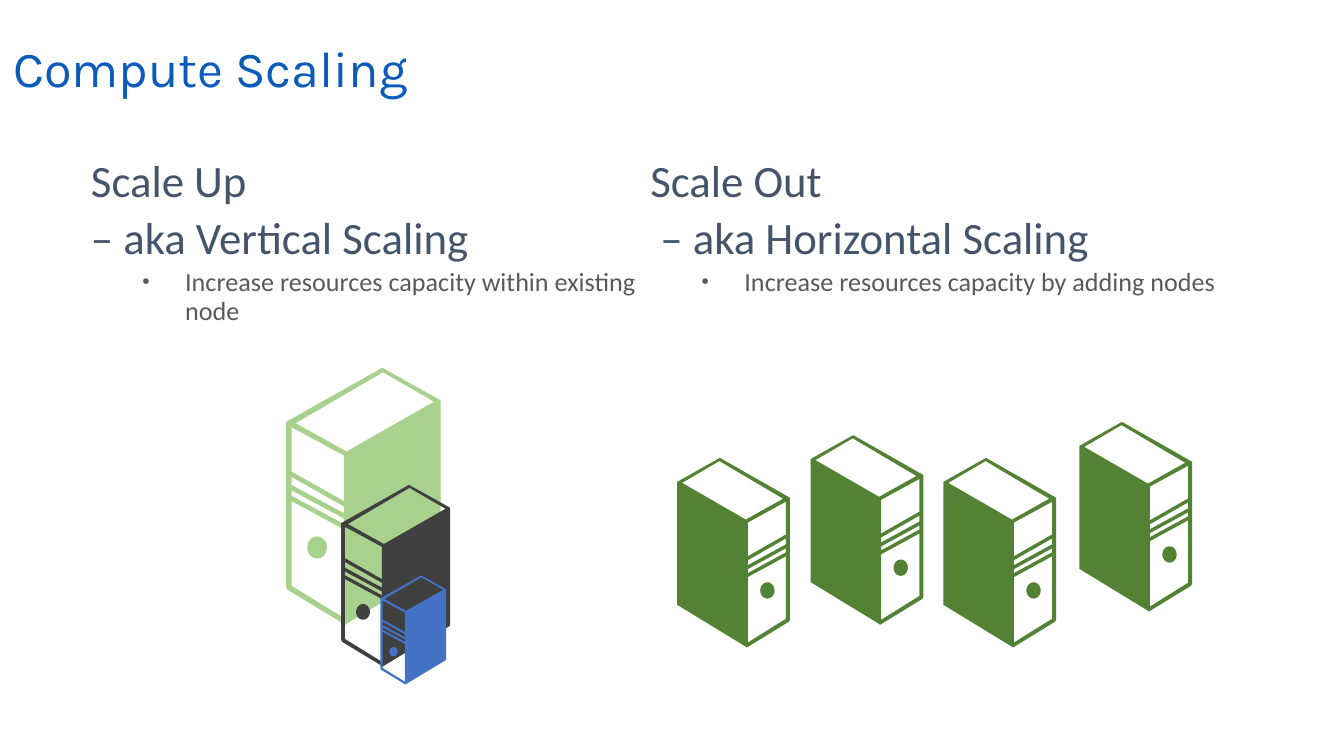
from math import cos, pi, sin

from lxml.etree import SubElement
from pptx import Presentation
from pptx.dml.color import RGBColor
from pptx.enum.text import MSO_ANCHOR
from pptx.oxml.ns import qn
from pptx.util import Cm, Pt

BLUE_TITLE = RGBColor(0x0A, 0x5B, 0xBA)
SLATE = RGBColor(0x44, 0x54, 0x6A)
GREY = RGBColor(0x59, 0x59, 0x59)
LIGHT_GREEN = RGBColor(0xA9, 0xD1, 0x8E)
CHARCOAL = RGBColor(0x40, 0x40, 0x40)
BLUE = RGBColor(0x44, 0x72, 0xC4)
GREEN = RGBColor(0x54, 0x82, 0x35)

# Content: lengths in cm
TITLE = "Compute Scaling"
COLUMNS = [  # left, width, headings, bullet
    (1.47, 11.33, ["Scale Up", "– aka Vertical Scaling"],
     "Increase resources capacity within existing node"),
    (12.04, 13.77, ["Scale Out", " – aka Horizontal Scaling"],
     "Increase resources capacity by adding nodes"),
]
SCALE_UP = [  # left, top, width, height, colour
    (5.41, 6.96, 2.92, 4.85, LIGHT_GREEN),
    (6.45, 9.17, 2.06, 3.43, CHARCOAL),
    (7.19, 10.88, 1.24, 2.06, BLUE),
]
SCALE_OUT = [(12.8, 8.66), (15.32, 8.23), (17.83, 8.66), (20.4, 7.98)]
OUT_W, OUT_H = 2.13, 3.58

# Server drawing on a 115 x 191 grid: silhouette, then its cut-outs
GRID_W, GRID_H = 115, 191
DOT = [(23 + 7.3 * cos(k * pi / 16), 133.5 + 8.2 * sin(k * pi / 16))
       for k in range(32)]
SERVER = [
    [(115, 24), (72, 0), (71, 0), (0, 40), (0, 163), (1, 165),
     (44, 191), (47, 189), (115, 148)],                # silhouette
    [(72, 3), (110, 25), (45, 62), (7, 41)],           # top
    [(4, 44), (43, 65), (43, 99), (4, 77)],            # upper panel
    [(4, 81), (43, 103), (43, 108), (4, 87)],          # slots
    [(4, 91), (43, 112), (43, 116), (4, 95)],
    [(4, 99), (43, 120), (43, 186), (4, 162)],         # lower panel
    DOT,
]


def add_server(slide, left, top, width, height, color, mirrored=False):
    def place(point):
        x, y = point
        if mirrored:
            x = GRID_W - x
        return Cm(left + x * width / GRID_W), Cm(top + y * height / GRID_H)

    contours = [[place(pt) for pt in contour] for contour in SERVER]
    builder = slide.shapes.build_freeform(*contours[0][0])
    for i, (start, *rest) in enumerate(contours):
        if i:
            builder.move_to(*start)
        builder.add_line_segments(rest, close=True)
    sp = builder.convert_to_shape()
    sp.shadow.inherit = False
    sp.fill.solid()
    sp.fill.fore_color.rgb = color
    sp.line.fill.background()


def add_textbox(slide, left, top, width, height):
    tf = slide.shapes.add_textbox(Cm(left), Cm(top), Cm(width), Cm(height)).text_frame
    tf.word_wrap = True
    return tf


def write(p, text, font, size, color):
    p.line_spacing = 0.9
    r = p.add_run()
    r.text = text
    r.font.name, r.font.size = font, Pt(size)
    r.font.color.rgb = color


def set_bullet(p):
    p.level = 1
    pPr = p._p.get_or_add_pPr()
    pPr.set("marL", str(Cm(1.78)))
    pPr.set("indent", str(Cm(-0.81)))
    SubElement(pPr, qn("a:buSzPct"), val="80000")
    SubElement(pPr, qn("a:buFont"), typeface="Arial")
    SubElement(pPr, qn("a:buChar"), char="•")


prs = Presentation()
prs.slide_width, prs.slide_height = Cm(25.4), Cm(14.29)
slide = prs.slides.add_slide(prs.slide_layouts[6])

# Title
tf = add_textbox(slide, 0, 0.64, 23.5, 1.42)
tf.vertical_anchor = MSO_ANCHOR.MIDDLE
write(tf.paragraphs[0], TITLE, "Karla", 27, BLUE_TITLE)

# Scale up: one server grows
for server in SCALE_UP:
    add_server(slide, *server)

# Text columns
for left, width, headings, bullet in COLUMNS:
    tf = add_textbox(slide, left, 2.87, width, 4.22)
    for i, heading in enumerate(headings):
        p = tf.add_paragraph() if i else tf.paragraphs[0]
        p.space_before = Pt(4.8)
        write(p, heading, "Calibri", 24, SLATE)
    p = tf.add_paragraph()
    p.space_before = Pt(2.8)
    write(p, bullet, "Calibri", 14, GREY)
    set_bullet(p)

# Scale out: equal servers side by side
for left, top in SCALE_OUT:
    add_server(slide, left, top, OUT_W, OUT_H, GREEN, mirrored=True)

prs.save("out.pptx")
